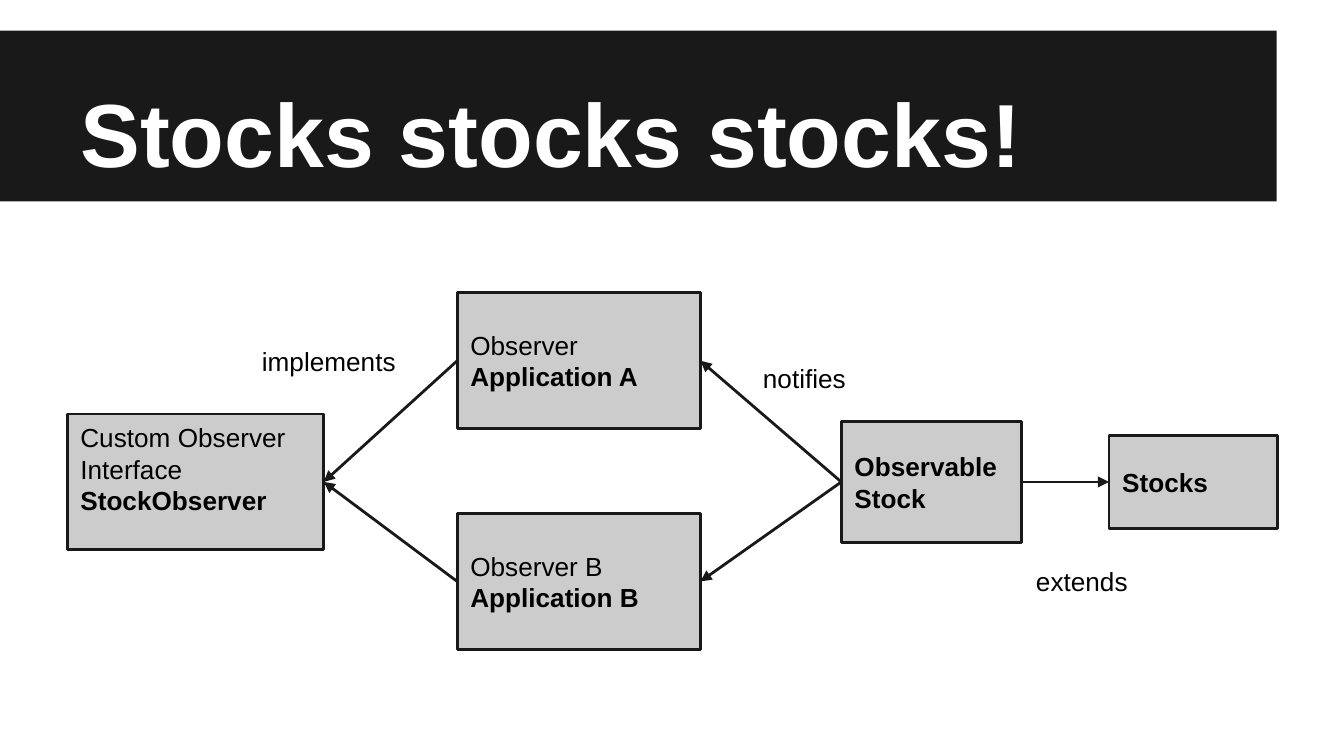
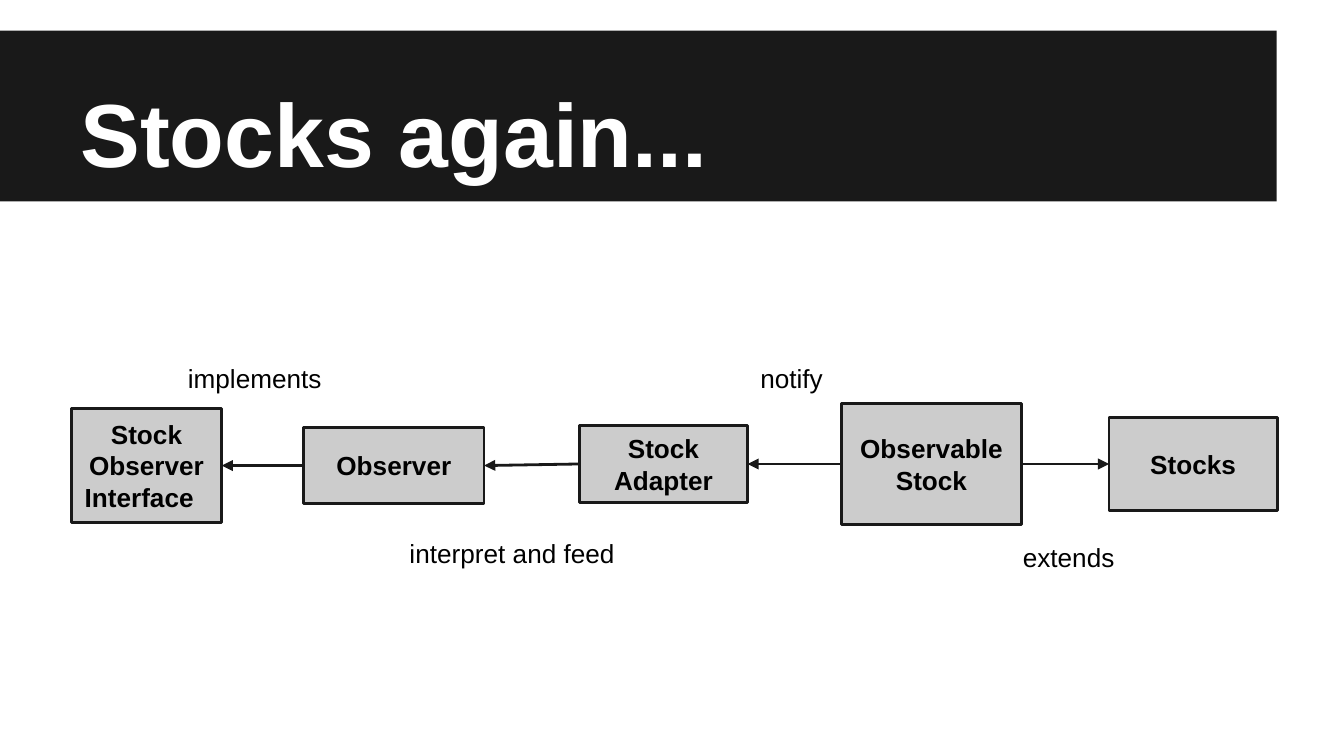
from lxml import etree
from pptx import Presentation
from pptx import util as u
from pptx.dml.color import RGBColor
from pptx.enum import shapes, text
from pptx.oxml.ns import qn

COLORS = {"ink": "191919", "box": "CCCCCC", "text": "000000", "title": "FFFFFF"}
LEFT, CENTER = text.PP_ALIGN.LEFT, text.PP_ALIGN.CENTER
MIDDLE, TOP = text.MSO_ANCHOR.MIDDLE, text.MSO_ANCHOR.TOP
INSET = u.Cm(0.25)
FRAME = {
    "word_wrap": True,
    "auto_size": text.MSO_AUTO_SIZE.NONE,
    "margin_left": INSET,
    "margin_right": INSET,
    "margin_top": INSET,
    "margin_bottom": INSET,
}
BODY_FONT = {"name": "Arial", "size": u.Pt(14), "bold": False}
TITLE_FONT = {"name": "Arial", "size": u.Pt(48), "bold": True}
LABEL_HEIGHT = 1.09
LEFT_SIDE, RIGHT_SIDE = 1, 3


def rgb(key):
    return RGBColor.from_string(COLORS[key])


def apply(target, values):
    for key, value in values.items():
        setattr(target, key, value)


def place(*lengths):
    return [u.Cm(length) for length in lengths]


def write(frame, lines, font, color, anchor=MIDDLE, **changes):
    apply(frame, {**FRAME, "vertical_anchor": anchor, **changes})
    for index, (words, bold, align) in enumerate(lines):
        paragraph = frame.add_paragraph() if index else frame.paragraphs[0]
        paragraph.alignment = align
        run = paragraph.add_run()
        run.text = words
        apply(run.font, {**font, "bold": bold})
        run.font.color.rgb = rgb(color)


def add_rectangle(slide, bounds, fill):
    rectangle = slide.shapes.add_shape(shapes.MSO_SHAPE.RECTANGLE, *place(*bounds))
    rectangle.shadow.inherit = False
    rectangle.fill.solid()
    rectangle.fill.fore_color.rgb = rgb(fill)
    return rectangle


def add_title_band(slide):
    band = add_rectangle(slide, (0, 0.58, 24.13, 3.23), "ink")
    band.line.fill.background()
    slide.slide_layout.shapes.element.insert(2, band.element)


def add_titled_slide(deck, heading):
    slide = deck.slides.add_slide(deck.slide_layouts[5])
    title = slide.shapes.title
    apply(title, dict(zip(("left", "top", "width", "height"),
                          place(1.27, 0.58, 22.86, 3.18))))
    write(title.text_frame, [(heading, True, LEFT)], TITLE_FONT, "title",
          text.MSO_ANCHOR.BOTTOM)
    return slide


def add_component(slide, left, middle, width, height, lines, **layout):
    component = add_rectangle(slide, (left, middle - height / 2, width, height), "box")
    component.line.color.rgb = rgb("ink")
    component.line.width = u.Pt(1.5)
    write(component.text_frame, lines, BODY_FONT, "text", **layout)
    return component


def add_relation(slide, source, source_side, target, target_side):
    arrow = slide.shapes.add_connector(shapes.MSO_CONNECTOR.STRAIGHT, 0, 0, 0, 0)
    arrow.begin_connect(source, source_side)
    arrow.end_connect(target, target_side)
    arrow.line.color.rgb = rgb("ink")
    arrow.line.width = u.Pt(1.5)
    etree.SubElement(arrow.line._get_or_add_ln(), qn("a:tailEnd"), type="triangle")
    etree.SubElement(arrow.element.spPr, qn("a:effectLst"))


def add_label(slide, left, top, width, words):
    label = slide.shapes.add_textbox(*place(left, top, width, LABEL_HEIGHT))
    write(label.text_frame, [(words, False, LEFT)], BODY_FONT, "text", TOP)


def add_observed_stocks(slide, middle, align):
    observable = add_component(slide, 15.9, middle, 3.41, 2.29,
                               [("Observable Stock", True, align)])
    stocks = add_component(slide, 20.96, middle, 3.18, 1.75,
                           [("Stocks", True, align)])
    add_relation(slide, observable, RIGHT_SIDE, stocks, LEFT_SIDE)
    return observable


def build_observer_slide(deck):
    slide = add_titled_slide(deck, "Stocks stocks stocks!")
    add_title_band(slide)
    interface = add_component(
        slide, 1.27, 9.11, 4.85, 2.57,
        [("Custom Observer Interface", False, LEFT), ("StockObserver", True, LEFT)],
        anchor=TOP, margin_top=u.Cm(0.15))
    observable = add_observed_stocks(slide, 9.11, LEFT)
    for middle, role, application in ((6.82, "Observer", "Application A"),
                                      (10.99, "Observer B", "Application B")):
        observer = add_component(slide, 8.64, middle, 4.6, 2.57,
                                 [(role, False, LEFT), (application, True, LEFT)])
        add_relation(slide, observer, LEFT_SIDE, interface, RIGHT_SIDE)
        add_relation(slide, observable, LEFT_SIDE, observer, RIGHT_SIDE)
    for label in ((4.7, 6.27, 3.18, "implements"),
                  (14.17, 6.6, 2.24, "notifies"),
                  (19.33, 10.44, 2.67, "extends")):
        add_label(slide, *label)


def build_adapter_slide(deck):
    slide = add_titled_slide(deck, "Stocks again...")
    interface = add_component(slide, 1.35, 8.8, 2.84, 2.16,
                              [("Stock Observer", True, CENTER),
                               ("Interface", True, LEFT)])
    observer = add_component(slide, 5.74, 8.8, 3.41, 1.45,
                             [("Observer", True, CENTER)])
    adapter = add_component(slide, 10.95, 8.77, 3.18, 1.45,
                            [("Stock Adapter", True, CENTER)])
    observable = add_observed_stocks(slide, 8.77, CENTER)
    chain = [observable, adapter, observer, interface]
    for source, target in zip(chain, chain[1:]):
        add_relation(slide, source, LEFT_SIDE, target, RIGHT_SIDE)
    for label in ((3.3, 6.6, 3.18, "implements"),
                  (7.49, 9.91, 5.41, "interpret and feed"),
                  (14.12, 6.6, 1.91, "notify"),
                  (19.08, 9.98, 2.67, "extends")):
        add_label(slide, *label)


def main():
    deck = Presentation()
    deck.slide_width, deck.slide_height = place(25.4, 14.29)
    build_observer_slide(deck)
    build_adapter_slide(deck)
    deck.save("out.pptx")


if __name__ == "__main__":
    main()
